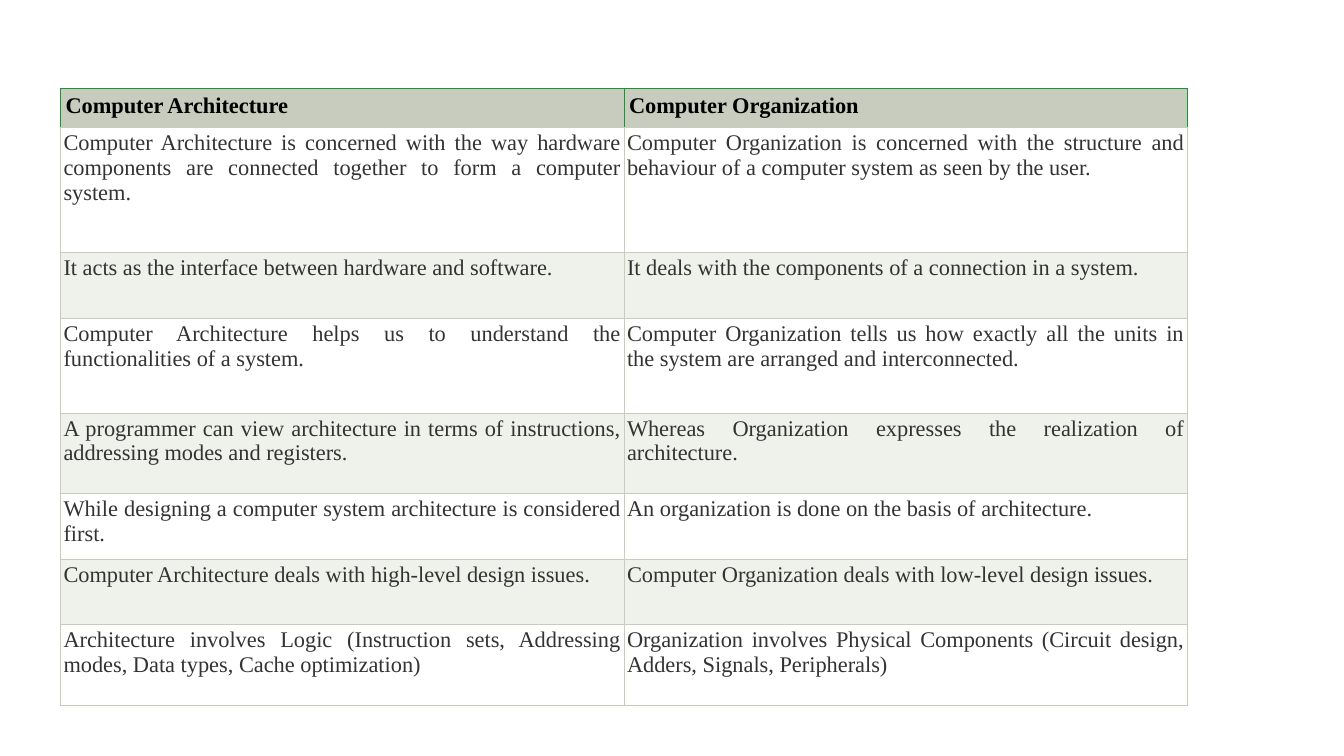
import dataclasses
import pptx
import pptx.dml.color
import pptx.enum.text
import pptx.oxml
import pptx.oxml.ns
import pptx.util

Pt = pptx.util.Pt


@dataclasses.dataclass(frozen=True)
class Theme:
    font: str = "Times New Roman"
    size: float = 16
    line: float = 0.6
    head: str = "C7CCBE"
    edge: str = "189533"
    ink: str = "000000"
    body: str = "333333"
    white: str = "FFFFFF"
    band: str = "EFF1EB"


THEME = Theme()

# Row height, then the architecture and organization texts
ROWS = [
    (28.1, "Computer Architecture", "Computer Organization"),
    (89.2,
     "Computer Architecture is concerned with the way hardware components are connected together to form a computer system.",
     "Computer Organization is concerned with the structure and behaviour of a computer system as seen by the user."),
    (46.8,
     "It acts as the interface between hardware and software.",
     "It deals with the components of a connection in a system."),
    (67.7,
     "Computer Architecture helps us to understand the functionalities of a system.",
     "Computer Organization tells us how exactly all the units in the system are arranged and interconnected."),
    (57.6,
     "A programmer can view architecture in terms of instructions, addressing modes and registers.",
     "Whereas Organization expresses the realization of architecture."),
    (46.8,
     "While designing a computer system architecture is considered first.",
     "An organization is done on the basis of architecture."),
    (46.8,
     "Computer Architecture deals with high-level design issues.",
     "Computer Organization deals with low-level design issues."),
    (57.6,
     "Architecture involves Logic (Instruction sets, Addressing modes, Data types, Cache optimization)",
     "Organization involves Physical Components (Circuit design, Adders, Signals, Peripherals)"),
]


def rgb(code):
    return pptx.dml.color.RGBColor.from_string(code)


def border(cell, side, color):
    props = cell._tc.get_or_add_tcPr()
    props.append(pptx.oxml.parse_xml(
        f'<a:ln{side} {pptx.oxml.ns.nsdecls("a")} w="{Pt(THEME.line)}">'
        f'<a:solidFill><a:srgbClr val="{color}"/></a:solidFill></a:ln{side}>'))


def style(cell, text, row):
    top = row == 0
    # Borders come before the fill in the cell properties
    for side in "LRTB":
        border(cell, side, THEME.edge if top and side != "B" else THEME.head)
    cell.fill.solid()
    band = THEME.white if row % 2 else THEME.band
    cell.fill.fore_color.rgb = rgb(THEME.head if top else band)
    inset = Pt(3.6 if top else 2.2)
    cell.margin_left = cell.margin_right = inset
    cell.margin_top = cell.margin_bottom = inset

    # Cell text
    cell.text_frame.text = text
    para = cell.text_frame.paragraphs[0]
    align = pptx.enum.text.PP_ALIGN
    para.alignment = align.LEFT if top else align.JUSTIFY
    font = para.runs[0].font
    font.name = THEME.font
    font.size = Pt(THEME.size)
    font.bold = top
    font.color.rgb = rgb(THEME.ink if top else THEME.body)


def compare(slide, left, top, width):
    high = sum(row[0] for row in ROWS)
    frame = slide.shapes.add_table(
        len(ROWS), 2, Pt(left), Pt(top), Pt(width), Pt(high))
    table = frame.table
    for col in table.columns:
        col.width = Pt(width / 2)
    for num, (tall, *texts) in enumerate(ROWS):
        table.rows[num].height = Pt(tall)
        for col, text in enumerate(texts):
            style(table.cell(num, col), text, num)


def main():
    deck = pptx.Presentation()
    deck.slide_width, deck.slide_height = Pt(960), Pt(540)
    # Blank layout: the slide has no title
    slide = deck.slides.add_slide(deck.slide_layouts[6])
    compare(slide, 43.2, 63.2, 805)
    deck.save("out.pptx")


if __name__ == "__main__":
    main()
